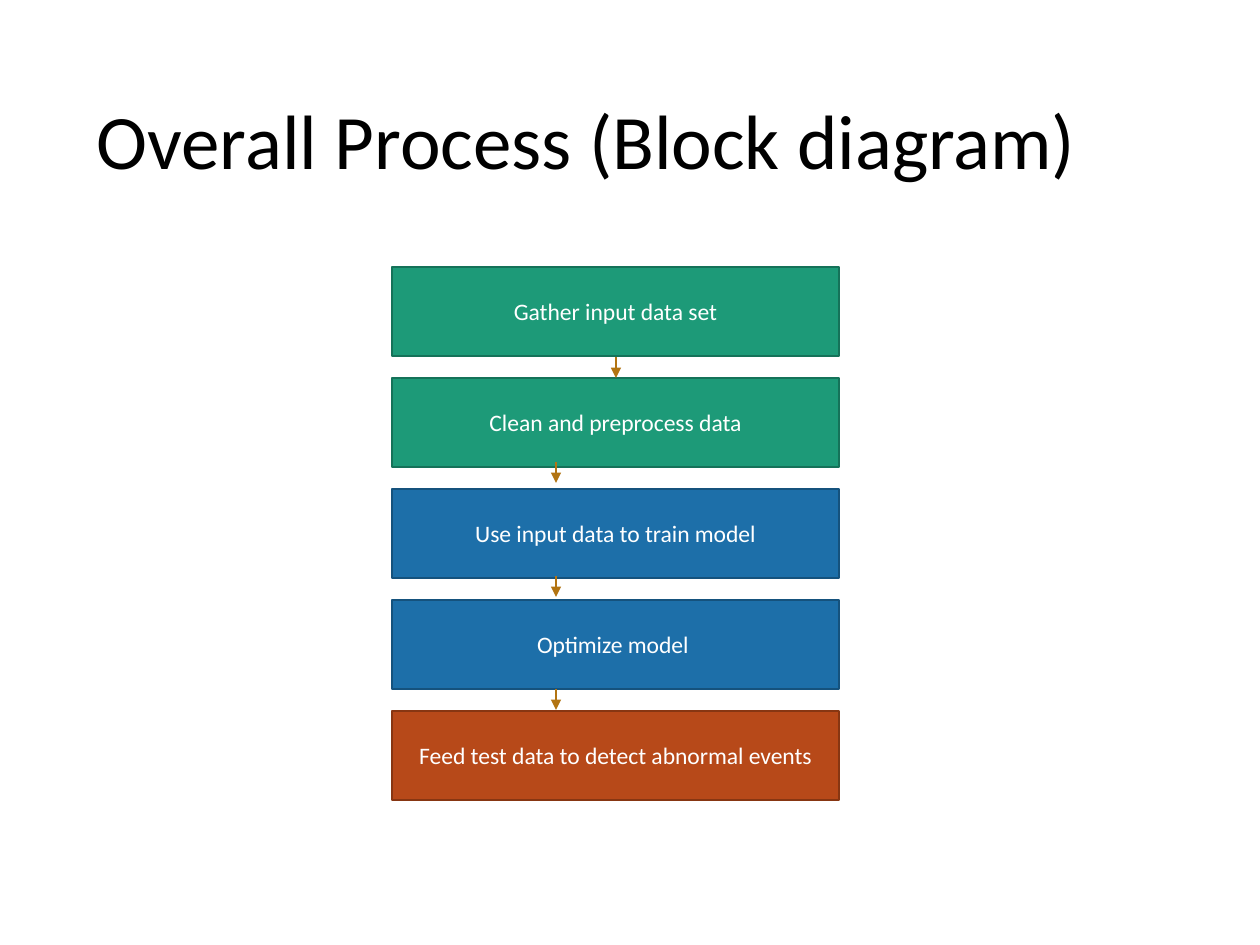
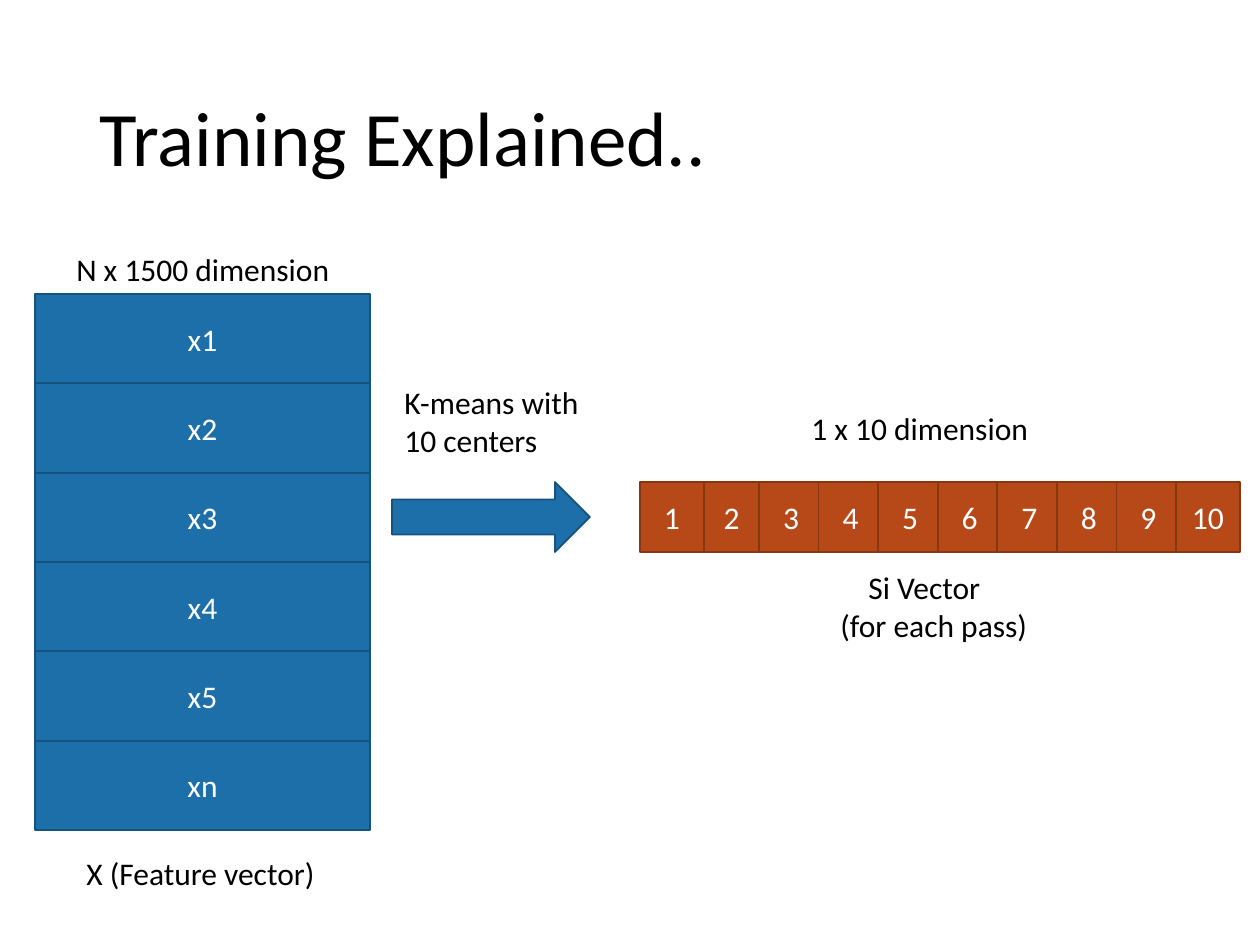
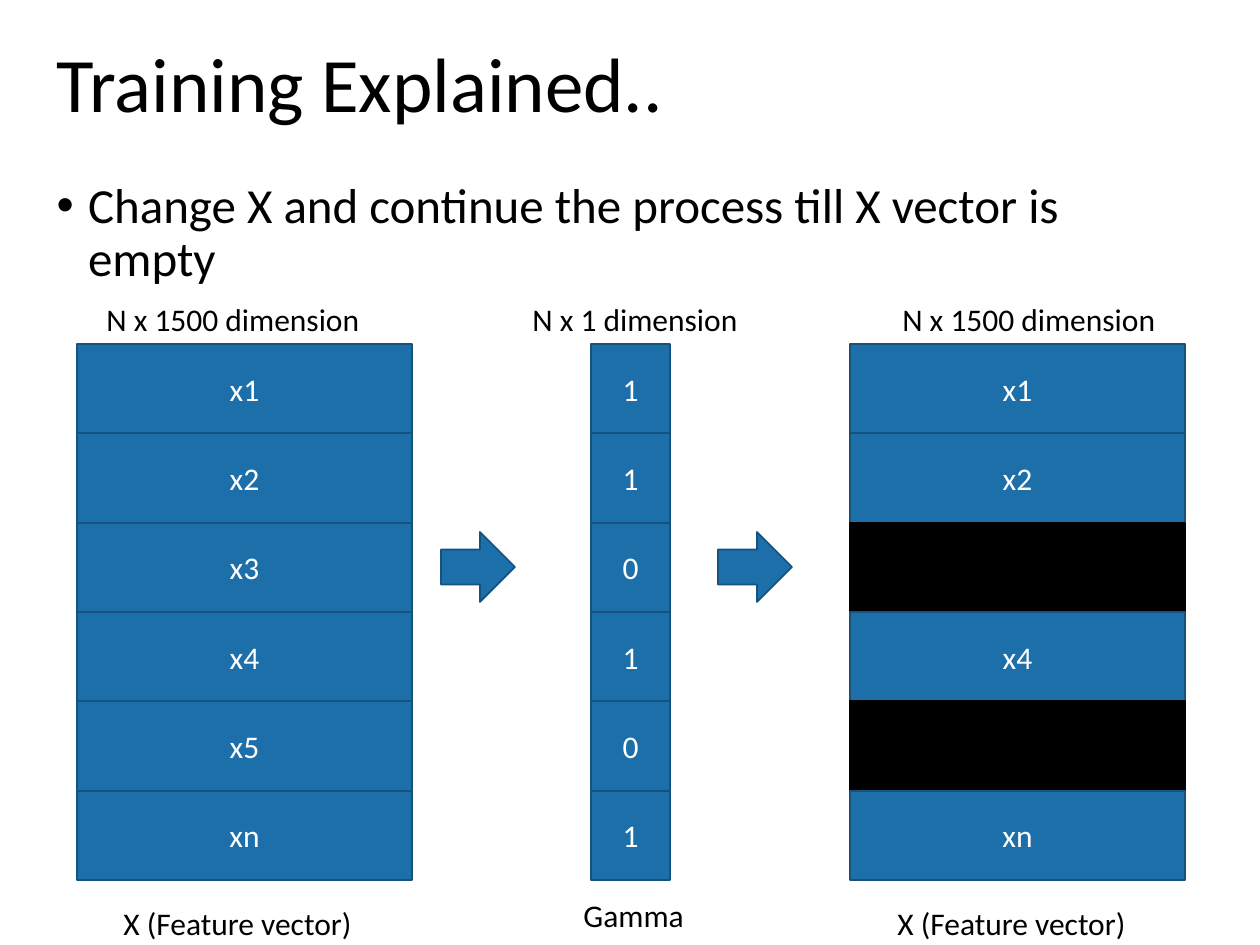
from dataclasses import dataclass

from lxml.etree import SubElement
from pptx import Presentation
from pptx.dml.color import RGBColor
from pptx.enum.shapes import MSO_CONNECTOR, MSO_SHAPE
from pptx.enum.text import MSO_ANCHOR, MSO_AUTO_SIZE, PP_ALIGN
from pptx.oxml.ns import qn
from pptx.util import Emu, Pt

RECT, ARROW = MSO_SHAPE.RECTANGLE, MSO_SHAPE.RIGHT_ARROW
STRAIGHT = MSO_CONNECTOR.STRAIGHT
TOP, MIDDLE = MSO_ANCHOR.TOP, MSO_ANCHOR.MIDDLE
LEFT, CENTER = PP_ALIGN.LEFT, PP_ALIGN.CENTER
FIXED = MSO_AUTO_SIZE.NONE
SCALE = 914400 / 126
WIDE, HIGH = 1260, 945


@dataclass(frozen=True)
class Paint:
    """Fill and outline of one kind of shape."""
    fill: RGBColor
    line: RGBColor


@dataclass(frozen=True)
class Theme:
    """Colours and type sizes of the deck."""
    font: str = "Calibri"
    dark: RGBColor = RGBColor(0, 0, 0)
    light: RGBColor = RGBColor(255, 255, 255)
    gold: RGBColor = RGBColor.from_string("B27412")
    green: Paint = Paint(RGBColor.from_string("1D9A78"), RGBColor.from_string("157259"))
    blue: Paint = Paint(RGBColor.from_string("1D6FA9"), RGBColor.from_string("15527D"))
    rust: Paint = Paint(RGBColor.from_string("B74919"), RGBColor.from_string("873612"))
    black: Paint = Paint(RGBColor(0, 0, 0), RGBColor(0, 0, 0))
    title: float = 44
    body: float = 28
    label: float = 18
    block: float = 13.5
    stroke: float = 1
    tight: float = 0.9


THEME = Theme()


def px(*nums):
    """Turn px lengths into EMU."""
    return [Emu(round(num * SCALE)) for num in nums]


def write(par, text, size, color):
    """Add one styled run to a paragraph."""
    run = par.add_run()
    run.text = text
    run.font.name = THEME.font
    run.font.size = Pt(size)
    run.font.color.rgb = color


def place(holder, box, text, size, anchor):
    """Move a placeholder to its box and fill it with one paragraph."""
    holder.left, holder.top, holder.width, holder.height = px(*box)
    frame = holder.text_frame
    frame.auto_size = FIXED
    frame.word_wrap = True
    frame.vertical_anchor = anchor
    par = frame.paragraphs[0]
    par.alignment = LEFT
    par.line_spacing = THEME.tight
    par.space_before = Pt(0)
    write(par, text, size, THEME.dark)
    return par


def start(deck, layout, box, text):
    """Add a slide with its title."""
    slide = deck.slides.add_slide(deck.slide_layouts[layout])
    place(slide.shapes.title, box, text, THEME.title, MIDDLE)
    return slide


def bullet(slide, box, text):
    """Fill the body placeholder with one bullet."""
    par = place(slide.placeholders[1], box, text, THEME.body, TOP)
    props = par._p.get_or_add_pPr()
    hang = Pt(18)
    props.set("marL", str(hang))
    props.set("indent", str(-hang))


def shape(slide, kind, box, paint, text="", size=THEME.label):
    """Draw a painted preset shape with centred text."""
    item = slide.shapes.add_shape(kind, *px(*box))
    item.shadow.inherit = False
    item.fill.solid()
    item.fill.fore_color.rgb = paint.fill
    item.line.color.rgb = paint.line
    item.line.width = Pt(THEME.stroke)
    if text:
        frame = item.text_frame
        frame.vertical_anchor = MIDDLE
        frame.paragraphs[0].alignment = CENTER
        write(frame.paragraphs[0], text, size, THEME.light)


def label(slide, box, *lines, inset=0):
    """Write a plain label, its first line set in by inset px."""
    frame = slide.shapes.add_textbox(*px(*box)).text_frame
    frame.word_wrap = True
    for row, text in enumerate(lines):
        par = frame.add_paragraph() if row else frame.paragraphs[0]
        if inset and not row:
            par._p.get_or_add_pPr().set("marL", str(px(inset)[0]))
        write(par, text, THEME.label, THEME.dark)


def link(slide, x, y, drop):
    """Draw a short arrow pointing down."""
    item = slide.shapes.add_connector(STRAIGHT, *px(x, y, x, y + drop))
    item.line.color.rgb = THEME.gold
    item.line.width = Pt(THEME.stroke)
    SubElement(item.line._get_or_add_ln(), qn("a:tailEnd"), type="triangle")
    SubElement(item._element.spPr, qn("a:effectLst"))


def flow(slide, box, steps, links):
    """Stack the process blocks and set the arrows between them."""
    x, y, w, h = box
    tall, drop = 89, 21
    pitch = (h - tall) / (len(steps) - 1)
    for row, (text, paint) in enumerate(steps):
        shape(slide, RECT, (x, y + row * pitch, w, tall), paint, text, THEME.block)
    for dx, dy in links:
        link(slide, x + dx, y + dy, drop)


def stack(slide, box, cells, head, foot):
    """Draw a column of cells, blank ones in black, with its two labels."""
    x, y, w, h = box
    tall = h / len(cells)
    for row, text in enumerate(cells):
        paint = THEME.blue if text else THEME.black
        shape(slide, RECT, (x, y + row * tall, w, tall), paint, text)
    for (text, dx, dy), wide in ((foot, 268), (head, 280)):
        label(slide, (x + dx, y + dy, wide, 50), text)


def strip(slide, box, order):
    """Draw a row of numbered cells that overlap in the given order."""
    x, y, w, h = box
    wide = 64
    pitch = (w - wide) / (len(order) - 1)
    for num in order:
        left = x + (num - 1) * pitch
        shape(slide, RECT, (left, y, wide, h), THEME.rust, str(num))


def process(deck):
    """Build the block diagram slide."""
    slide = start(deck, 5, (84, 76, 1086, 137), "Overall Process (Block diagram)")
    steps = (
        ("Gather input data set", THEME.green),
        ("Clean and preprocess data", THEME.green),
        ("Use input data to train model", THEME.blue),
        ("Optimize model ", THEME.blue),
        ("Feed test data to detect abnormal events", THEME.rust),
    )
    links = ((224, 90), (164, 195), (164, 309), (164, 422))
    flow(slide, (392, 267, 447, 533), steps, links)


def train(deck, cells, feature):
    """Build the slide that turns features into a vector."""
    slide = start(deck, 5, (87, 50, 1086, 183), "Training Explained..")
    stack(slide, (35, 294, 335, 536), cells,
          ("N x 1500 dimension", 29, -50), (feature, 39, 554))
    shape(slide, ARROW, (392, 482, 198, 70), THEME.blue)
    label(slide, (828, 562, 218, 89), "Si Vector", "(for each pass)", inset=28)
    label(slide, (799, 403, 260, 50), "1 x 10 dimension")
    label(slide, (392, 377, 209, 89), "K-means with", "10 centers")
    strip(slide, (640, 482, 600, 70), (*range(2, 9), 1, 9, 10))


def prune(deck, cells, feature):
    """Build the slide that drops rows from the features."""
    slide = start(deck, 1, (44, -4, 1086, 183), "Training Explained..")
    bullet(slide, (44, 175, 1086, 600),
           "Change X and continue the process till X vector is empty")
    gamma = "110101"
    kept = [text if bit == "1" else "" for text, bit in zip(cells, gamma)]
    top, tall, size = 344, 536, "N x 1500 dimension"
    stack(slide, (77, top, 335, tall), cells, (size, 17, -50), (feature, 34, 554))
    stack(slide, (591, top, 79, tall), gamma,
          ("N x 1 dimension", -71, -50), ("Gamma", -20, 546))
    stack(slide, (850, top, 335, tall), kept, (size, 40, -50), (feature, 35, 554))
    for x in (441, 718):
        shape(slide, ARROW, (x, 532, 74, 70), THEME.blue)


def main():
    """Build and save the deck."""
    deck = Presentation()
    deck.slide_width, deck.slide_height = px(WIDE, HIGH)
    cells = ("x1", "x2", "x3", "x4", "x5", "xn")
    feature = "X (Feature vector)"
    process(deck)
    train(deck, cells, feature)
    prune(deck, cells, feature)
    deck.save("out.pptx")


if __name__ == "__main__":
    main()
